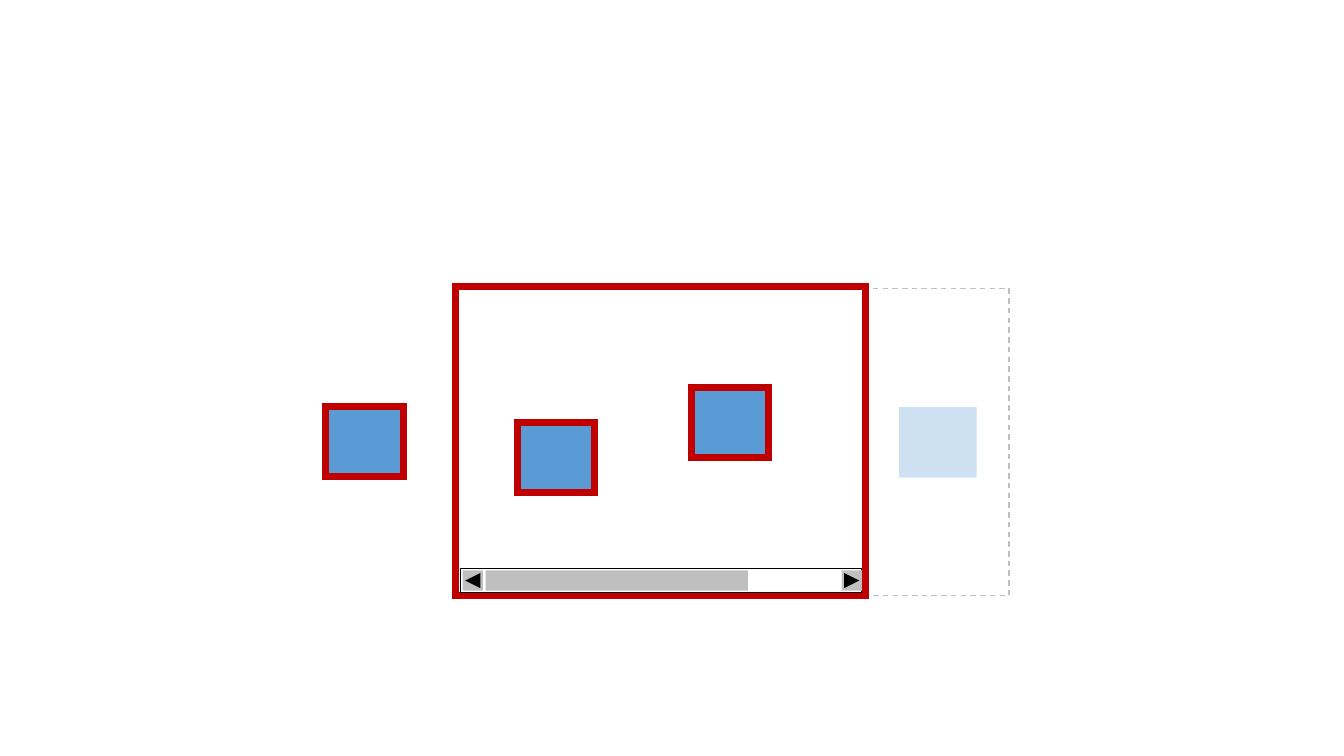
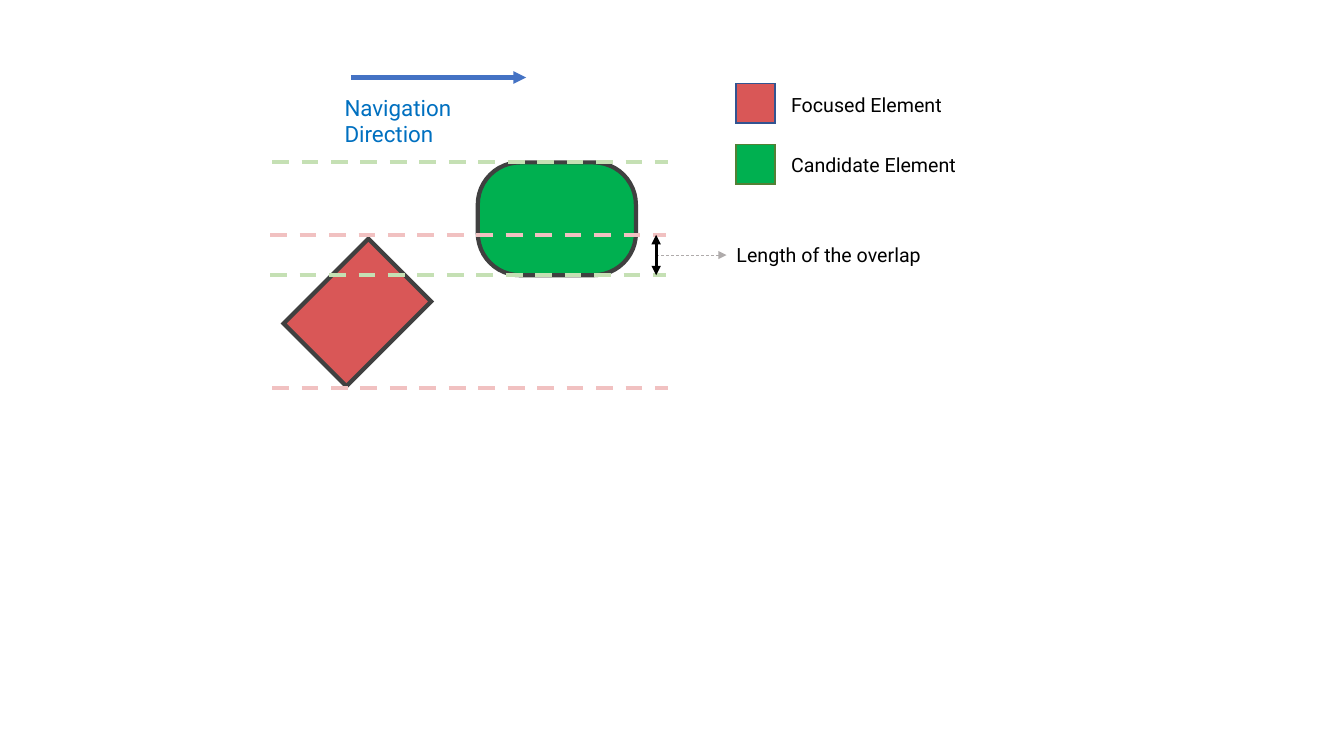
"""Two diagrams: a scroll container with its elements, and the overlap of projected edges."""
from lxml import etree
from pptx import Presentation
from pptx.dml.color import RGBColor
from pptx.enum import dml, shapes, text
from pptx.oxml import ns
from pptx.util import Pt

COLORS = {
    "white": "FFFFFF", "black": "000000", "gray": "BFBFBF", "dark": "404040",
    "frame": "C00000", "element": "5B9BD5", "focused": "D95757", "candidate": "00B050",
    "focused_edge": "F1C1C1", "candidate_edge": "C5E0B4", "arrow": "4472C4",
    "direction": "0070C0", "pointer": "AFABAB", "focused_key": "325491", "candidate_key": "538035",
}
COLORS = {name: RGBColor.from_string(value) for name, value in COLORS.items()}
RECT = shapes.MSO_SHAPE.RECTANGLE
DASH = dml.MSO_LINE.DASH


def add_shape(slide, left, top, width, height, fill, line=None, weight=1, dash=None, kind=RECT, rotation=0):
    shape = slide.shapes.add_shape(kind, Pt(left), Pt(top), Pt(width), Pt(height))
    shape.shadow.inherit = False
    shape.rotation = rotation
    shape.fill.solid()
    shape.fill.fore_color.rgb = COLORS[fill]
    if line is None:
        shape.line.fill.background()
        return shape
    shape.line.color.rgb = COLORS[line]
    shape.line.width = Pt(weight)
    if dash:
        shape.line.dash_style = dash
    etree.SubElement(shape.line._get_or_add_ln(), ns.qn("a:miter"), lim="800000")
    return shape


def add_text(slide, words, left, top, width, height, size=14, color="black"):
    box = slide.shapes.add_textbox(Pt(left), Pt(top), Pt(width), Pt(height))
    frame = box.text_frame
    frame.word_wrap = True
    frame.auto_size = text.MSO_AUTO_SIZE.NONE
    run = frame.paragraphs[0].add_run()
    run.text = words
    run.font.name = "Roboto"
    run.font.size = Pt(size)
    run.font.color.rgb = COLORS[color]


presentation = Presentation()
presentation.slide_width, presentation.slide_height = Pt(960), Pt(540)
blank = presentation.slide_layouts[6]

slide = presentation.slides.add_slide(blank)
add_shape(slide, 325.4, 206, 395.3, 219.6, "white", "gray", dash=DASH)
add_shape(slide, 325.4, 204.6, 293, 221, "white", "frame", 5)
for left, top in ((369.4, 301.7), (232.6, 290.2), (493.9, 276.5)):
    add_shape(slide, left, top, 55.4, 50.4, "element", "frame", 5)

add_shape(slide, 329, 406, 286.6, 17.3, "white", "black")
for left, rotation in ((330.5, 270), (601.2, 90)):
    add_shape(slide, left, 407.5, 14.4, 14.4, "gray")
    add_shape(slide, left + 1.8, 409.3, 10.8, 10.8, "black",
              kind=shapes.MSO_SHAPE.ISOSCELES_TRIANGLE, rotation=rotation)
add_shape(slide, 347, 407.5, 187.2, 14.4, "gray")

add_shape(slide, 642.2, 290.9, 55.4, 50.4, "element")
veil = add_shape(slide, 630.7, 271.4, 78.5, 87.1, "white")
veil_color = veil.fill._xPr.find(ns.qn("a:solidFill"))[0]
etree.SubElement(veil_color, ns.qn("a:alpha"), val="70000")

slide = presentation.slides.add_slide(blank)
add_shape(slide, 212.4, 191.5, 85.7, 63.4, "focused", "dark", 3, rotation=315)
candidate = add_shape(slide, 341.3, 116, 113, 80.6, "candidate", "dark", 3,
                      kind=shapes.MSO_SHAPE.ROUNDED_RECTANGLE)
candidate.adjustments[0] = 0.374

lines = (
    (250.6, 55.4, 375.8, 55.4, "arrow", 3, None, ("tailEnd",)),
    (193, 167.8, 476, 167.8, "focused_edge", 3, DASH, ()),
    (193, 196.6, 476, 196.6, "candidate_edge", 3, DASH, ()),
    (194.4, 277.2, 477.4, 277.2, "focused_edge", 3, DASH, ()),
    (194.4, 116, 477.4, 116, "candidate_edge", 3, DASH, ()),
    (468.7, 182.2, 519, 182.2, "pointer", 0.5, DASH, ("tailEnd",)),
    (468.7, 167.8, 468.7, 196.6, "black", 2.25, None, ("headEnd", "tailEnd")),
)
for x1, y1, x2, y2, color, weight, dash, arrowheads in lines:
    connector = slide.shapes.add_connector(
        shapes.MSO_CONNECTOR.STRAIGHT, Pt(x1), Pt(y1), Pt(x2), Pt(y2))
    connector.line.color.rgb = COLORS[color]
    connector.line.width = Pt(weight)
    if dash:
        connector.line.dash_style = dash
    for end in arrowheads:
        etree.SubElement(connector.line._get_or_add_ln(), ns.qn(f"a:{end}"), type="triangle")
    etree.SubElement(connector._element.spPr, ns.qn("a:effectLst"))

add_text(slide, "Navigation Direction", 239, 63.4, 110, 46, size=16, color="direction")
add_text(slide, "Length of the overlap", 519, 170, 160, 24.5)
legend = (("Focused Element", "focused", 59.8, 62.6),
          ("Candidate Element", "candidate", 103.4, 105.4))
for label, fill, top, label_top in legend:
    add_shape(slide, 525.6, top, 28.1, 28.1, fill, f"{fill}_key")
    add_text(slide, label, 558, label_top, 160, 24.5)

presentation.save("out.pptx")
